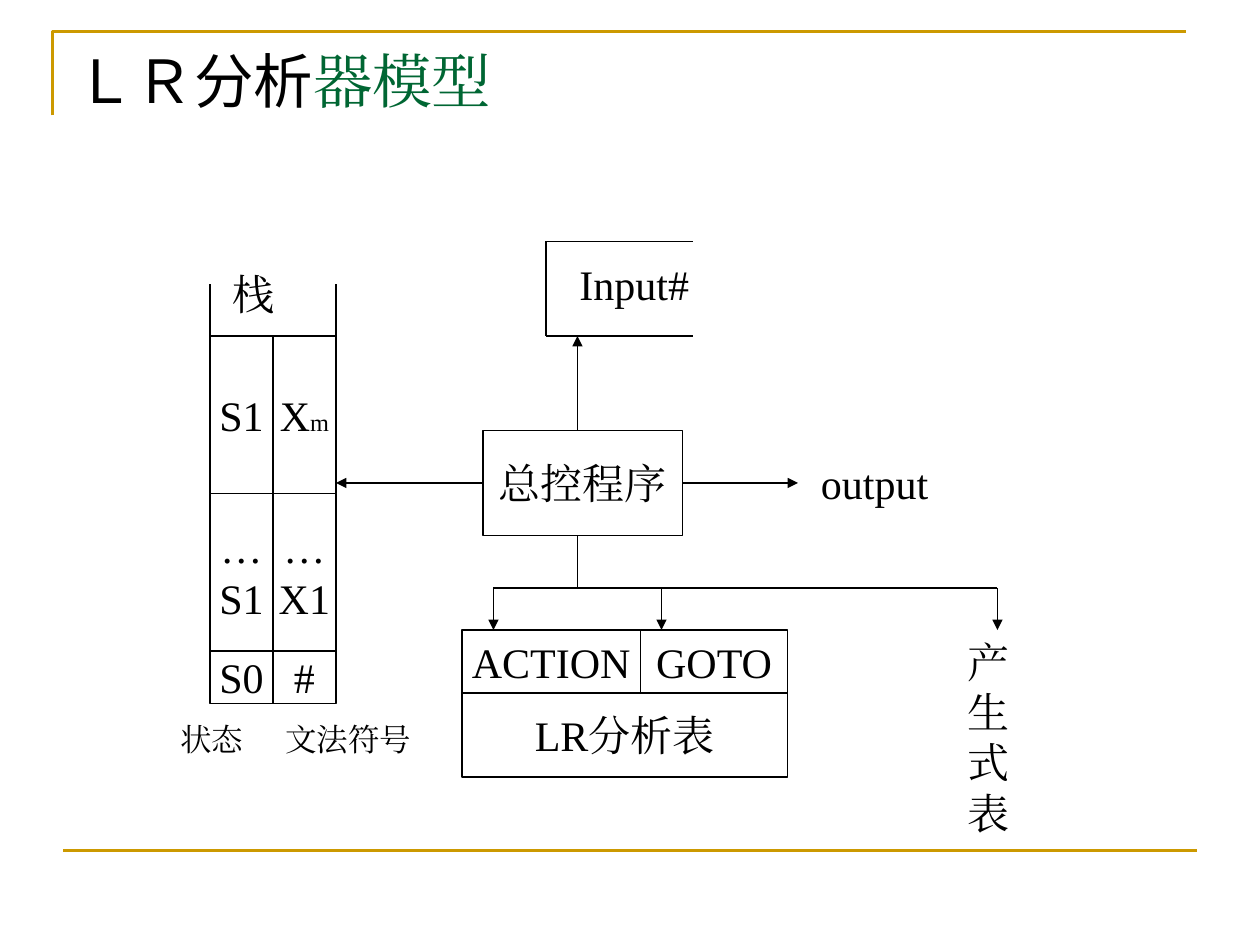
from pptx import Presentation
from pptx.dml.color import RGBColor as Rgb
from pptx.enum.shapes import MSO_CONNECTOR as Conn, MSO_SHAPE as Shape
from pptx.enum.text import MSO_ANCHOR as Anchor, PP_ALIGN as Align
from pptx.oxml.ns import qn
from pptx.util import Pt
from lxml.etree import SubElement as Sub

PX = 7620
HUES = {"ink": "000000", "paper": "FFFFFF", "gold": "CC9900", "green": "006633"}
SERIF = "Times New Roman"
SANS = "Noto Sans CJK SC"


def hue(name):
    return Rgb.from_string(HUES[name])


def emu(*nums):
    return [n * PX for n in nums]


def add_run(para, text, size=24, face=SERIF, tone="ink", base=0):
    run = para.add_run()
    run.text = text
    font = run.font
    font.size, font.name = Pt(size), face
    font.color.rgb = hue(tone)
    props = run._r.get_or_add_rPr()
    Sub(props, qn("a:ea")).set("typeface", face)
    if base:
        props.set("baseline", str(base))


def add_label(slide, x, y, w, h, text, size=24):
    frame = slide.shapes.add_textbox(*emu(x, y, w, h)).text_frame
    frame.word_wrap = True
    add_run(frame.paragraphs[0], text, size)


def add_cell(slide, x, y, w, h, *rows):
    box = slide.shapes.add_shape(Shape.RECTANGLE, *emu(x, y, w, h))
    box.shadow.inherit = False
    box.fill.solid()
    box.fill.fore_color.rgb = hue("paper")
    box.line.color.rgb = hue("ink")
    box.line.width = Pt(0.75)
    frame = box.text_frame
    frame.word_wrap = False
    frame.vertical_anchor = Anchor.MIDDLE
    for i, row in enumerate(rows):
        para = frame.add_paragraph() if i else frame.paragraphs[0]
        para.alignment = Align.CENTER
        for text, base in row:
            add_run(para, text, base=base)


def add_line(slide, x1, y1, x2, y2, head=False, tone="ink", width=0.75):
    line = slide.shapes.add_connector(Conn.STRAIGHT, *emu(x1, y1, x2, y2))
    line.line.color.rgb = hue(tone)
    line.line.width = Pt(width)
    if head:
        Sub(line.line._get_or_add_ln(), qn("a:tailEnd")).set("type", "triangle")
    Sub(line._element.spPr, qn("a:effectLst"))


def add_frame(slide, x, y, w, h):
    path = slide.shapes.build_freeform(x, y + 80, scale=PX)
    path.add_line_segments([(x, y), (x + w, y)], close=False)
    edge = path.convert_to_shape()
    edge.shadow.inherit = False
    edge.fill.background()
    edge.line.color.rgb = hue("gold")
    edge.line.width = Pt(1.5)
    add_line(slide, x + 10, y + h, x + w + 10, y + h, tone="gold", width=1.5)


def add_title(slide, x, y, w, h):
    frame = slide.shapes.add_textbox(*emu(x, y, w, h)).text_frame
    frame.word_wrap = True
    para = frame.paragraphs[0]
    add_run(para, "ＬＲ分析", 34, SANS)
    add_run(para, "器模型", 34, SERIF, "green")


def add_stack(slide, x, y, w):
    half = w // 2
    cols = [
        [[[("S1", 0)]], [[("…", 0)], [("S1", 0)]], [[("S0", 0)]]],
        [[[("X", 0), ("m", -25)]], [[("…", 0)], [("X1", 0)]], [[("#", 0)]]],
    ]
    for i, col in enumerate(cols):
        top = y
        for rows, high in zip(col, (150, 150, 50)):
            add_cell(slide, x + i * half, top, half, high, *rows)
            top += high
        add_line(slide, x + i * w, y, x + i * w, y - 50)
    add_label(slide, x + 10, y - 70, 90, 60, "栈")
    add_label(slide, x - 40, y + 360, 120, 48, "状态", 18)
    add_label(slide, x + half, y + 360, 180, 48, "文法符号", 18)


def add_input(slide, x, y, w, h):
    for edge in (y, y + h):
        add_line(slide, x, edge, x + w, edge)
    add_line(slide, x, y, x, y + h)
    add_label(slide, x + 20, y + 10, 140, 60, "Input#")


def add_driver(slide, x, y, w, h):
    mid = y + h // 2
    add_cell(slide, x, y, w, h, [("总控程序", 0)])
    add_line(slide, x, mid, x - 140, mid, True)
    add_line(slide, x + w, mid, x + w + 110, mid, True)
    add_line(slide, x + 90, y, x + 90, y - 90, True)
    add_line(slide, x + 90, y + h, x + 90, y + h + 50)
    add_label(slide, x + w + 120, y + 20, 140, 60, "output")


def add_bus(slide, x, y, w, h):
    add_line(slide, x, y, x + w, y)
    for drop in (x, x + 160, x + w):
        add_line(slide, drop, y, drop, y + h, True)
    add_label(slide, x + w - 40, y + h, 80, 204, "产生式表")


def add_tables(slide, x, y, w):
    left = 170
    add_cell(slide, x, y, left, 60, [("ACTION", 0)])
    add_cell(slide, x + left, y, w - left, 60, [("GOTO", 0)])
    add_cell(slide, x, y + 60, w, 80, [("LR分析表", 0)])


def main():
    deck = Presentation()
    deck.slide_width, deck.slide_height = emu(1200, 900)
    slide = deck.slides.add_slide(deck.slide_layouts[6])
    add_frame(slide, 50, 30, 1080, 780)
    add_title(slide, 60, 36, 1080, 150)
    add_stack(slide, 200, 320, 120)
    add_input(slide, 520, 230, 140, 90)
    add_driver(slide, 460, 410, 190, 100)
    add_bus(slide, 470, 560, 480, 40)
    add_tables(slide, 440, 600, 310)
    deck.save("out.pptx")


if __name__ == "__main__":
    main()
